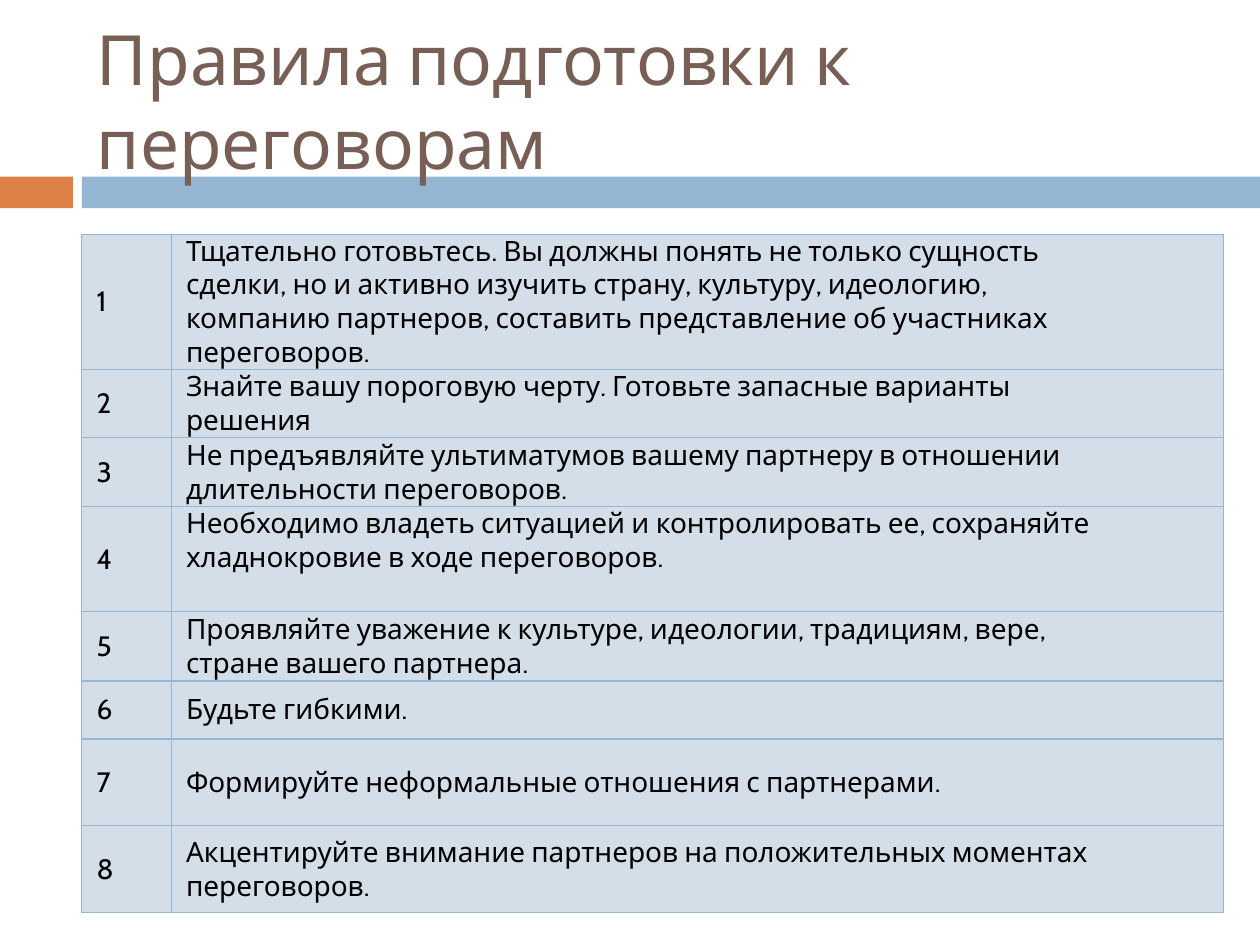
from lxml import etree
from pptx import Presentation
from pptx import util as u
from pptx.dml.color import RGBColor
from pptx.enum import shapes, text
from pptx.oxml.ns import qn

FONT = "Cabin"
BLUE, ORANGE, BROWN, BLACK = "94B6D2", "DD8047", "775F55", "000000"
CELL_FILL = "D3DEE9"
RULES = [
    "Тщательно готовьтесь. Вы должны понять не только сущность сделки, но и активно изучить "
    "страну, культуру, идеологию, компанию партнеров, составить представление об участниках "
    "переговоров.",
    "Знайте вашу пороговую черту. Готовьте запасные варианты решения",
    "Не предъявляйте ультиматумов вашему партнеру в отношении длительности переговоров.",
    "Необходимо владеть ситуацией и контролировать ее, сохраняйте хладнокровие в ходе переговоров.",
    "Проявляйте уважение к культуре, идеологии, традициям, вере, стране вашего партнера.",
    "Будьте гибкими.",
    "Формируйте неформальные отношения с партнерами.",
    "Акцентируйте внимание партнеров на положительных моментах переговоров.",
]
ROW_HEIGHTS = [2.72, 1.37, 1.4, 2.11, 1.4, 1.17, 1.75, 1.75]
TOP_ALIGNED_RULE = 4


def color(value):
    return RGBColor.from_string(value)


def add_run(paragraph, words, size, value):
    run = paragraph.add_run()
    run.text = words
    run.font.name = FONT
    run.font.size = u.Pt(size)
    run.font.color.rgb = color(value)


def add_bar(slide, left, top, width, height, value):
    bar = slide.shapes.add_shape(
        shapes.MSO_SHAPE.RECTANGLE, u.Cm(left), u.Cm(top), u.Cm(width), u.Cm(height))
    bar.shadow.inherit = False
    bar.fill.solid()
    bar.fill.fore_color.rgb = color(value)
    bar.line.fill.background()


def add_divider(slide, left, top, width, height):
    """Short orange bar, a gap, then a blue bar to the right edge."""
    accent, gap = 1.47, 0.18
    add_bar(slide, left, top, accent, height, ORANGE)
    start = left + accent + gap
    add_bar(slide, start, top, width - start, height, BLUE)


def place_title(slide, left, top, width, height, words):
    title = slide.shapes.title
    title.left, title.top = u.Cm(left), u.Cm(top)
    title.width, title.height = u.Cm(width), u.Cm(height)
    frame = title.text_frame
    frame.auto_size = text.MSO_AUTO_SIZE.NONE
    frame.vertical_anchor = text.MSO_ANCHOR.MIDDLE
    paragraph = frame.paragraphs[0]
    paragraph.alignment = text.PP_ALIGN.LEFT
    add_run(paragraph, words, 39.6, BROWN)
    # The descenders of the title lie over the divider.
    title.element.getparent().append(title.element)


def add_borders(cell, value, width):
    properties = cell._tc.get_or_add_tcPr()
    for side in ("lnL", "lnR", "lnT", "lnB"):
        line = etree.SubElement(properties, qn(f"a:{side}"), w=str(u.Pt(width)))
        fill = etree.SubElement(line, qn("a:solidFill"))
        etree.SubElement(fill, qn("a:srgbClr"), val=value)


def fill_cell(cell, words, right_margin, anchor):
    cell.margin_top = cell.margin_bottom = 0
    cell.margin_left, cell.margin_right = u.Cm(0.3), u.Cm(right_margin)
    cell.vertical_anchor = anchor
    add_borders(cell, BLUE, 0.79)
    cell.fill.solid()
    cell.fill.fore_color.rgb = color(CELL_FILL)
    add_run(cell.text_frame.paragraphs[0], words, 16, BLACK)


def add_rules_table(slide, left, top, width, rules):
    number_width = 1.8
    table = slide.shapes.add_table(
        len(rules), 2, u.Cm(left), u.Cm(top), u.Cm(width), u.Cm(sum(ROW_HEIGHTS))).table
    table.first_row = table.horz_banding = False
    table.columns[0].width = u.Cm(number_width)
    table.columns[1].width = u.Cm(width - number_width)
    for number, (row, height, rule) in enumerate(zip(table.rows, ROW_HEIGHTS, rules), 1):
        row.height = u.Cm(height)
        middle = text.MSO_ANCHOR.MIDDLE
        anchor = text.MSO_ANCHOR.TOP if number == TOP_ALIGNED_RULE else middle
        fill_cell(row.cells[0], str(number), 0, middle)
        fill_cell(row.cells[1], rule, 2.2, anchor)


def main():
    presentation = Presentation()
    presentation.slide_width, presentation.slide_height = u.Cm(25.4), u.Cm(19.05)
    slide = presentation.slides.add_slide(presentation.slide_layouts.get_by_name("Title Only"))
    add_divider(slide, 0, 3.56, 25.4, 0.64)
    place_title(slide, 1.7, 0.64, 22.66, 2.74, "Правила подготовки к переговорам")
    add_rules_table(slide, 1.65, 4.72, 23.01, RULES)
    presentation.save("out.pptx")


if __name__ == "__main__":
    main()
